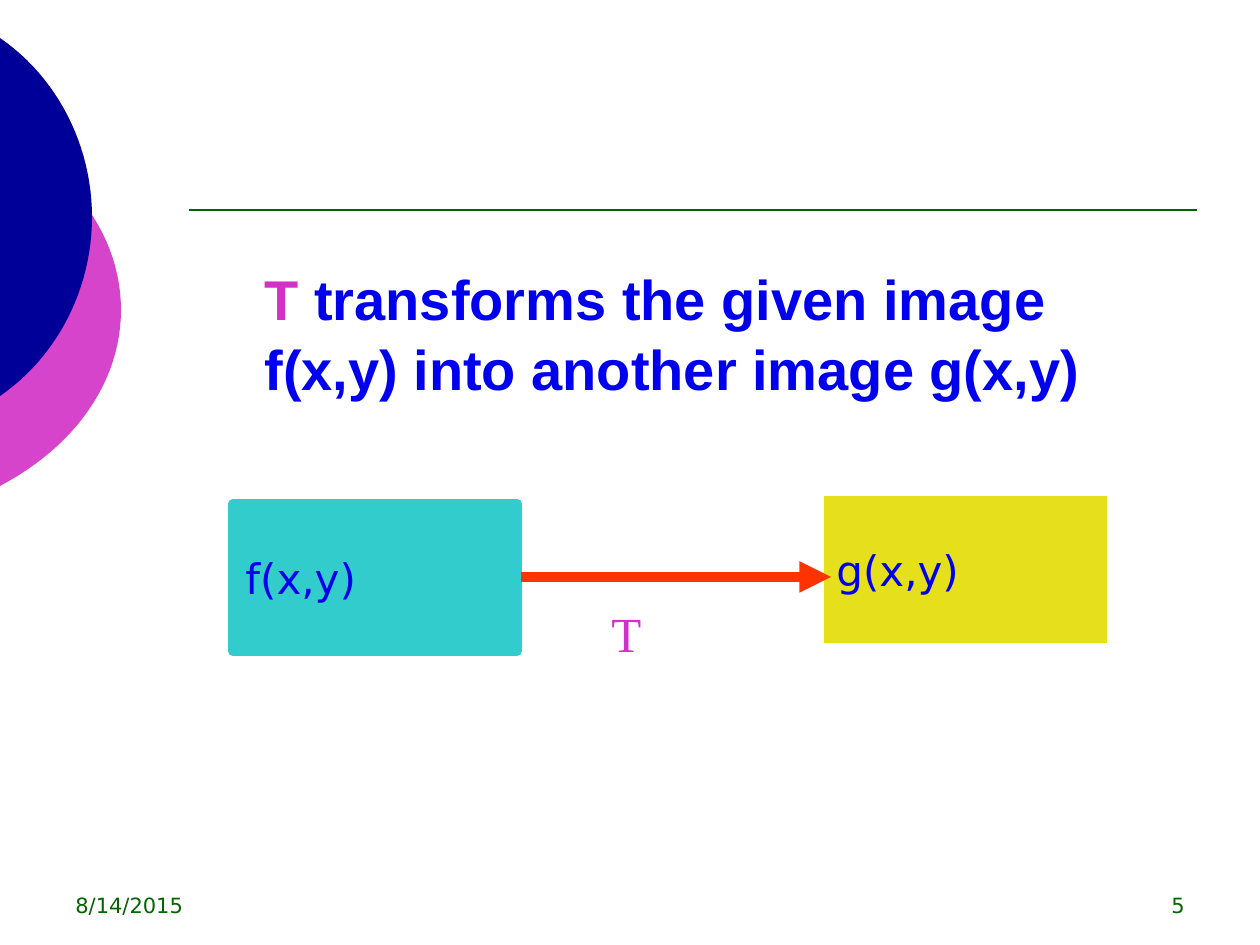
from lxml import etree
from pptx import Presentation
from pptx import util as u
from pptx.dml.color import RGBColor
from pptx.enum import shapes, text
from pptx.oxml.ns import qn

PX = 7257.14  # EMU in one px, at 126 px to the inch
COLORS = {
    "navy": "000099", "orchid": "D644CC", "magenta": "D230C6", "blue": "0000EE",
    "green": "006600", "teal": "33CCCC", "yellow": "E5E01B", "red": "FF3300",
}
SANS, SERIF, HEADING = "DejaVu Sans", "Times New Roman", "Arial"

# color, top, middle of the bulge, reach of the bulge, Bezier handles (x, y from top)
DISCS = [
    ("orchid", 134, 310, 121, (76, 40), 71),
    ("navy", 38, 217, 92, (58, 40), 71),
]
# left, top, width, height, fill, outline in points, label
BOXES = [
    (233, 504, 284, 147, "teal", 6, "f(x,y)"),
    (824, 496, 283, 147, "yellow", 0, "g(x,y)"),
]
# start, end, color, width in points, has arrowhead
LINES = [
    ((189, 210), (1197, 210), "green", 1, False),
    ((521, 577), (831, 577), "red", 6, True),
]
# left, top, width, height, font, size, bold, alignment, anchor, line spacing, runs
LEFT, RIGHT = text.PP_ALIGN.LEFT, text.PP_ALIGN.RIGHT
TOP, BOTTOM = text.MSO_ANCHOR.TOP, text.MSO_ANCHOR.BOTTOM
TEXTS = [
    (252, 256, 945, 563, HEADING, 32, True, LEFT, TOP, 1.04,
     [("T ", "magenta"),
      ("transforms the given image f(x,y) into another image g(x,y)", "blue")]),
    (63, 861, 294, 63, SANS, 12, False, LEFT, BOTTOM, 1, [("8/14/2015", "green")]),
    (903, 861, 294, 63, SANS, 12, False, RIGHT, BOTTOM, 1, [("5", "green")]),
    (599, 597, 91, 72, SERIF, 28, False, LEFT, TOP, 1, [("T", "magenta")]),
]


def px(*lengths):
    return [u.Emu(round(length * PX)) for length in lengths]


def rgb(name):
    return RGBColor.from_string(COLORS[name])


def add_runs(paragraph, runs, font, size, bold=False):
    for words, color in runs:
        run = paragraph.add_run()
        run.text = words
        run.font.name, run.font.size, run.font.bold = font, u.Pt(size), bold
        run.font.color.rgb = rgb(color)


def add_disc(slide, color, top, middle, reach, handle, rise, steps=24):
    """Draw the part of a disc that bulges in from the left edge of the slide."""
    controls = [(0, top), (handle[0], top + handle[1]), (reach, middle - rise), (reach, middle)]
    upper = []
    for step in range(steps + 1):
        t = step / steps
        weights = ((1 - t) ** 3, 3 * t * (1 - t) ** 2, 3 * t * t * (1 - t), t ** 3)
        upper.append([sum(w * c[axis] for w, c in zip(weights, controls)) for axis in (0, 1)])
    lower = [(x, 2 * middle - y) for x, y in reversed(upper[:-1])]
    points = [px(x, y) for x, y in upper + lower]
    builder = slide.shapes.build_freeform(*points[0], scale=1.0)
    builder.add_line_segments(points[1:], close=True)
    disc = builder.convert_to_shape()
    disc.shadow.inherit = False
    disc.fill.solid()
    disc.fill.fore_color.rgb = rgb(color)
    disc.line.fill.background()


def add_line(slide, start, end, color, width, arrow):
    line = slide.shapes.add_connector(shapes.MSO_CONNECTOR.STRAIGHT, *px(*start, *end))
    line.line.color.rgb = rgb(color)
    line.line.width = u.Pt(width)
    if arrow:
        etree.SubElement(line.line._get_or_add_ln(), qn("a:tailEnd"), type="triangle")
    etree.SubElement(line._element.spPr, qn("a:effectLst"))


def add_box(slide, left, top, width, height, fill, outline, label):
    box = slide.shapes.add_shape(shapes.MSO_SHAPE.RECTANGLE, *px(left, top, width, height))
    box.shadow.inherit = False
    box.fill.solid()
    box.fill.fore_color.rgb = rgb(fill)
    if outline:
        box.line.color.rgb = rgb(fill)
        box.line.width = u.Pt(outline)
    else:
        box.line.fill.background()
    frame = box.text_frame
    frame.word_wrap = True
    frame.vertical_anchor = text.MSO_ANCHOR.MIDDLE
    frame.paragraphs[0].alignment = LEFT
    add_runs(frame.paragraphs[0], [(label, "blue")], SANS, 24)


def add_text(slide, left, top, width, height, font, size, bold, align, anchor, spacing, runs):
    frame = slide.shapes.add_textbox(*px(left, top, width, height)).text_frame
    frame.word_wrap = True
    frame.vertical_anchor = anchor
    paragraph = frame.paragraphs[0]
    paragraph.alignment = align
    paragraph.line_spacing = spacing
    add_runs(paragraph, runs, font, size, bold)


def main():
    deck = Presentation()
    deck.slide_width, deck.slide_height = px(1260, 945)
    slide = deck.slides.add_slide(deck.slide_layouts[6])
    for add, rows in ((add_disc, DISCS), (add_box, BOXES), (add_line, LINES), (add_text, TEXTS)):
        for row in rows:
            add(slide, *row)
    deck.save("out.pptx")


if __name__ == "__main__":
    main()
